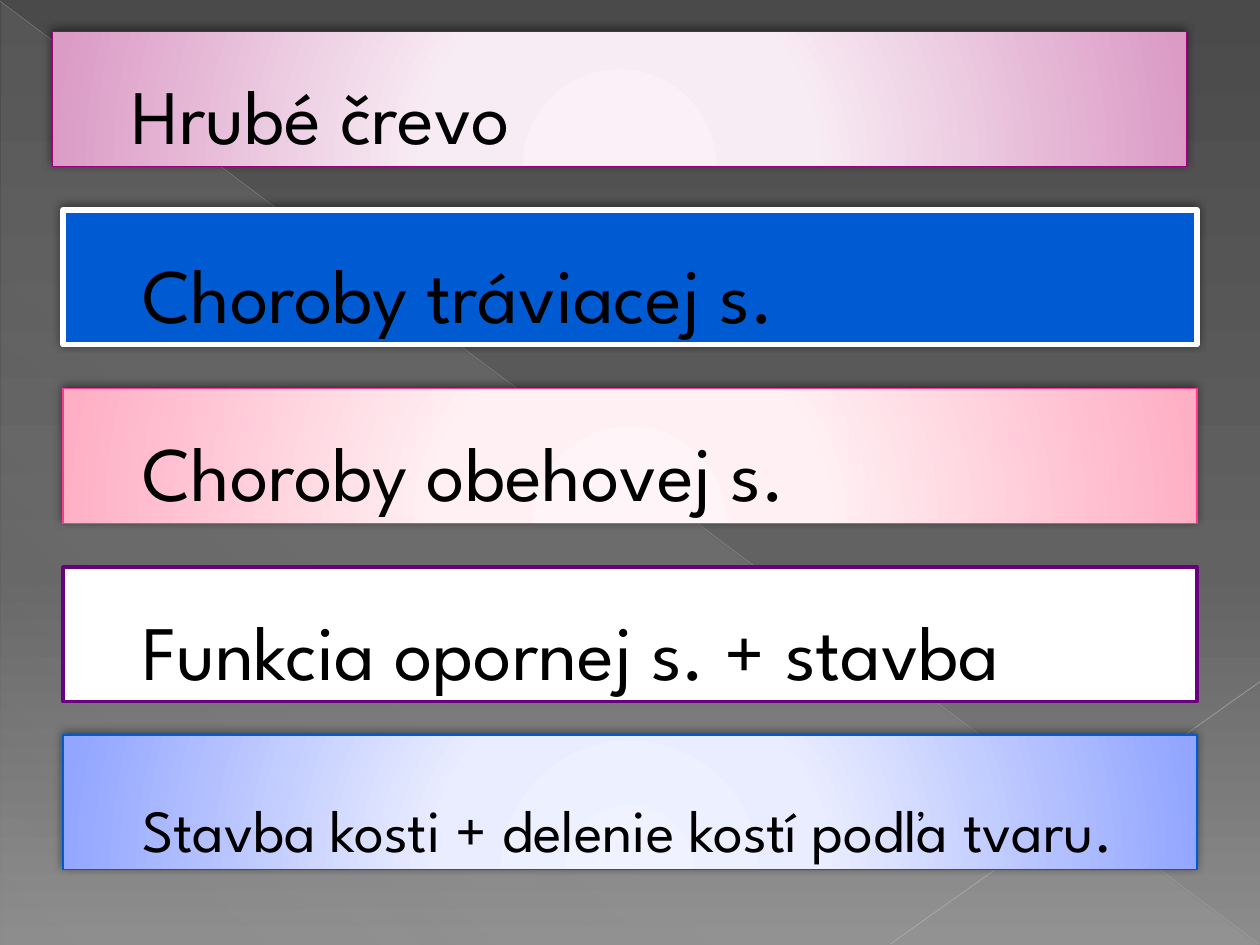
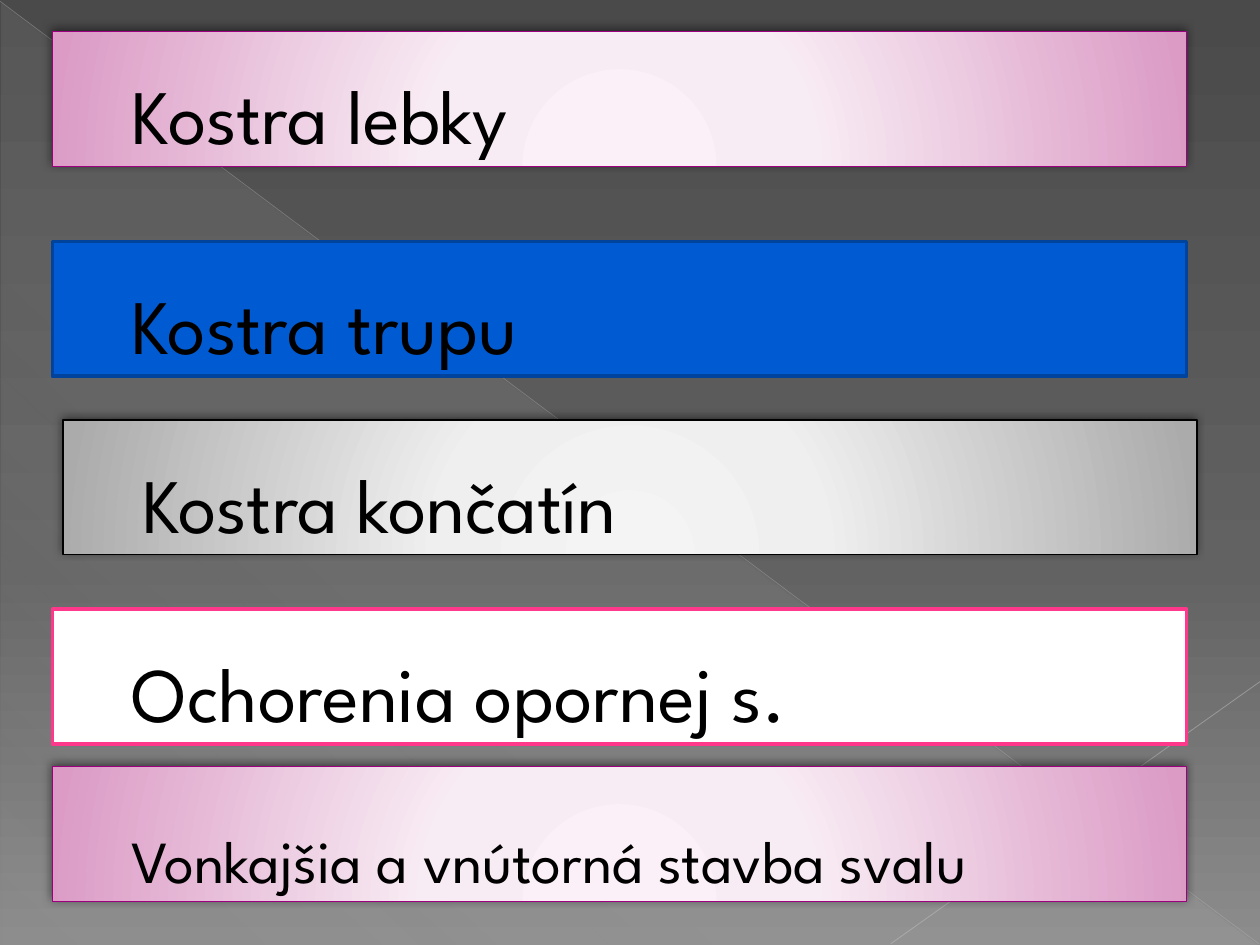
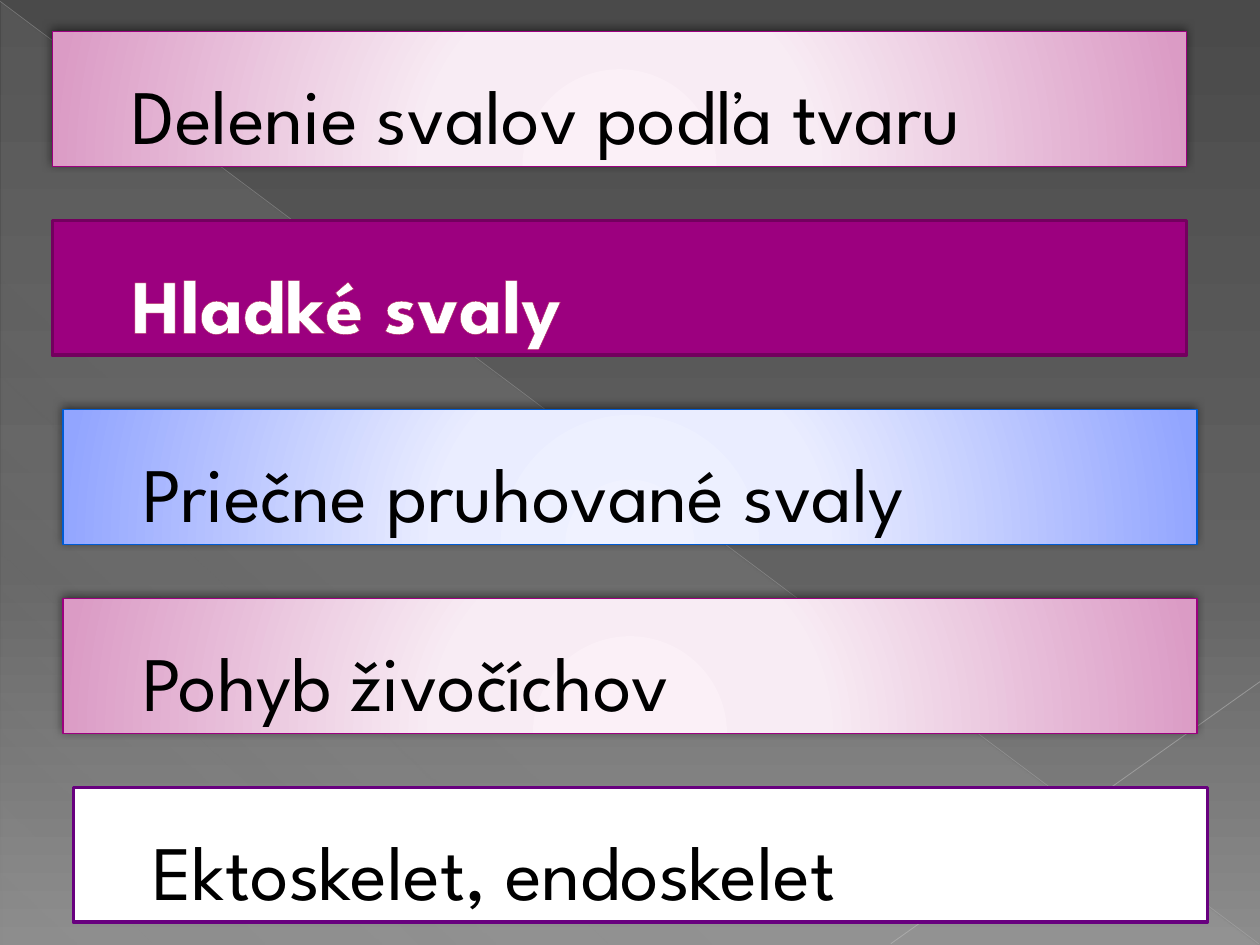
"""Build three slides of coloured topic bars over a shared dark backdrop."""
from collections import namedtuple

from pptx import Presentation
from pptx.dml.color import RGBColor
from pptx.enum.shapes import MSO_CONNECTOR, MSO_SHAPE
from pptx.enum.text import MSO_ANCHOR, MSO_AUTO_SIZE, PP_ALIGN
from pptx.oxml import parse_xml
from pptx.oxml.ns import nsdecls, qn
from pptx.util import Inches, Pt

BLACK = RGBColor(0x00, 0x00, 0x00)
WHITE = RGBColor(0xFF, 0xFF, 0xFF)
BLUE = RGBColor(0x00, 0x5B, 0xD3)
NAVY = RGBColor(0x00, 0x43, 0x9C)
ROSE = RGBColor(0xFF, 0x38, 0x8C)
PLUM = RGBColor(0x9C, 0x00, 0x7F)
WINE = RGBColor(0x73, 0x00, 0x5E)
GRAPE = RGBColor(0x68, 0x00, 0x7F)
EDGE = RGBColor(0xB1, 0x27, 0x61)
MIST = RGBColor(0xD2, 0xD2, 0xD2)
RAY = RGBColor(0xBF, 0xBF, 0xBF)
BEAM = RGBColor(0xC6, 0xC6, 0xC6)
NIGHT = [RGBColor(0x4A, 0x4A, 0x4A), RGBColor(0x62, 0x62, 0x62), RGBColor(0x8C, 0x8C, 0x8C)]
LILAC = [RGBColor(0xFB, 0xF0, 0xF7), RGBColor(0xF8, 0xEC, 0xF4), RGBColor(0xDB, 0x9B, 0xC5)]
BLUSH = [RGBColor(0xFF, 0xF4, 0xF7), RGBColor(0xFF, 0xF0, 0xF3), RGBColor(0xFF, 0xAF, 0xC5)]
SKY = [RGBColor(0xF0, 0xF2, 0xFF), RGBColor(0xEA, 0xED, 0xFF), RGBColor(0x92, 0xA5, 0xFF)]
ASH = [RGBColor(0xF4, 0xF4, 0xF4), RGBColor(0xEF, 0xEF, 0xEF), RGBColor(0xAB, 0xAB, 0xAB)]

Look = namedtuple("Look", "fill line width shade ink bold", defaults=(0.75, True, BLACK, None))
PINK = Look(LILAC, PLUM)
CORAL = Look(BLUSH, ROSE)
AZURE = Look(SKY, BLUE)
STEEL = Look(ASH, BLACK)
FRAMED = Look(BLUE, WHITE, 3)
COBALT = Look(BLUE, NAVY, 2, False)
VIOLET = Look(PLUM, WINE, 2, False, WHITE, True)
PAPER = Look(WHITE, GRAPE, 2, False)
CANDY = Look(WHITE, ROSE, 2, False)

FACE = "League Spartan"
COLS, ROWS = 120, 90
WIDE, TALL = 108, 12.84
GLOW = ('<a:path path="circle"><a:fillToRect l="50000" t="155000" '
        'r="50000" b="-55000"/></a:path>')
SLANT = '<a:lin ang="{}" scaled="0"/>'

PAGES = [
    [(5, 3, "Hrubé črevo", PINK, 44),
     (6, 20, "Choroby tráviacej s.", FRAMED, 44),
     (6, 37, "Choroby obehovej s.", CORAL, 44),
     (6, 54, "Funkcia opornej s. + stavba", PAPER, 44),
     (6, 70, "Stavba kosti + delenie kostí podľa tvaru.", AZURE, 34.1)],
    [(5, 3, "Kostra lebky", PINK, 44),
     (5, 23, "Kostra trupu", COBALT, 44),
     (6, 40, "Kostra končatín", STEEL, 44),
     (5, 58, "Ochorenia opornej s.", CANDY, 44),
     (5, 73, "Vonkajšia a vnútorná stavba svalu", PINK, 34.1)],
    [(5, 3, "Delenie svalov podľa tvaru", PINK, 44),
     (5, 21, "Hladké svaly", VIOLET, 44),
     (6, 39, "Priečne pruhované svaly", AZURE, 44),
     (6, 57, "Pohyb živočíchov", PINK, 44),
     (7, 75, "Ektoskelet, endoskelet", PAPER, 44)],
]


def tint(color, alpha=100):
    return f'<a:srgbClr val="{color}"><a:alpha val="{alpha * 1000}"/></a:srgbClr>'


def blend(fill, root, stops, tail):
    fill.gradient()
    old = root.find(".//" + qn("a:gradFill"))
    marks = "".join(f'<a:gs pos="{pos * 1000}">{tint(*hue)}</a:gs>' for pos, *hue in stops)
    old.getparent().replace(old, parse_xml(
        f'<a:gradFill {nsdecls("a")} rotWithShape="1"><a:gsLst>{marks}</a:gsLst>{tail}</a:gradFill>'))


class Deck:
    def __init__(self):
        self.file = Presentation()
        self.file.slide_width, self.file.slide_height = Inches(10), Inches(7.5)
        self.slide = None

    def grid(self, col, row):
        return (round(self.file.slide_width * col / COLS),
                round(self.file.slide_height * row / ROWS))

    def page(self):
        self.slide = self.file.slides.add_slide(self.file.slide_layouts[5])

    def ray(self, start, end, color, width, alpha):
        line = self.slide.shapes.add_connector(
            MSO_CONNECTOR.STRAIGHT, *self.grid(*start), *self.grid(*end))
        line.line.color.rgb = color
        line.line.width = Pt(width)
        hue = line.element.find(".//" + qn("a:srgbClr"))
        hue.append(parse_xml(f'<a:alpha {nsdecls("a")} val="{alpha * 1000}"/>'))
        line.element.spPr.append(parse_xml(f'<a:effectLst {nsdecls("a")}/>'))
        return line

    def wedge(self):
        shape = self.slide.shapes.add_shape(
            MSO_SHAPE.RIGHT_TRIANGLE, *self.grid(0.12, 0.24), *self.grid(119.76, 89.76))
        blend(shape.fill, shape.element, [(0, MIST, 10), (70, MIST, 8), (100, MIST, 1)],
              SLANT.format(133 * 60000))
        shape.line.fill.background()
        shape.shadow.inherit = False
        return shape

    def scene(self):
        master = self.file.slide_master
        blend(master.background.fill, master.element,
              zip((0, 60, 100), NIGHT), SLANT.format(90 * 60000))
        parts = [self.wedge(),
                 self.ray((0, 0.12), (119.88, 89.88), RAY, 0.39, 35),
                 self.ray((120, 64.92), (84.84, 89.88), BEAM, 0.47, 45)]
        tree = master.placeholders[0].element.getparent()
        for num, part in enumerate(parts, 50):
            part.element.find(".//" + qn("p:cNvPr")).set("id", str(num))
            tree.append(part.element)

    def title(self, *bar):
        self.dress(self.slide.shapes.title, *bar)

    def bar(self, *bar):
        shape = self.slide.shapes.add_shape(MSO_SHAPE.RECTANGLE, 0, 0, 0, 0)
        self.dress(shape, *bar)

    def dress(self, shape, col, row, text, look, size):
        shape.left, shape.top = self.grid(col, row)
        shape.width, shape.height = self.grid(WIDE, TALL)
        if isinstance(look.fill, list):
            blend(shape.fill, shape.element, zip((0, 34, 100), look.fill), GLOW)
        else:
            shape.fill.solid()
            shape.fill.fore_color.rgb = look.fill
        shape.line.color.rgb = look.line
        shape.line.width = Pt(look.width)
        shape.shadow.inherit = False
        if look.shade:
            shape.element.spPr.find(qn("a:effectLst")).append(parse_xml(
                f'<a:outerShdw {nsdecls("a")} blurRad="{Pt(5)}" dist="{Pt(2)}" '
                f'dir="{245 * 60000}" rotWithShape="0">{tint(BLACK, 50)}</a:outerShdw>'))
        self.label(shape.text_frame, text, look, size)

    def label(self, frame, text, look, size):
        frame.text = text
        frame.word_wrap = True
        frame.auto_size = MSO_AUTO_SIZE.NONE
        frame.vertical_anchor = MSO_ANCHOR.BOTTOM
        para = frame.paragraphs[0]
        para.alignment = PP_ALIGN.LEFT
        props = para._p.get_or_add_pPr()
        props.set("marL", str(Inches(0.53)))
        props.set("indent", "0")
        if size < 44:
            para.line_spacing = 0.8
        run = para.runs[0]
        run.font.name, run.font.size, run.font.bold = FACE, Pt(size), look.bold
        run.font.color.rgb = look.ink
        run._r.get_or_add_rPr().insert(0, parse_xml(
            f'<a:ln {nsdecls("a")} w="{Pt(0.5)}"><a:solidFill>{tint(EDGE)}</a:solidFill></a:ln>'))


def main():
    deck = Deck()
    for num, (head, *rest) in enumerate(PAGES):
        deck.page()
        if num == 0:
            deck.scene()
        deck.title(*head)
        for item in rest:
            deck.bar(*item)
    deck.file.save("out.pptx")


if __name__ == "__main__":
    main()
